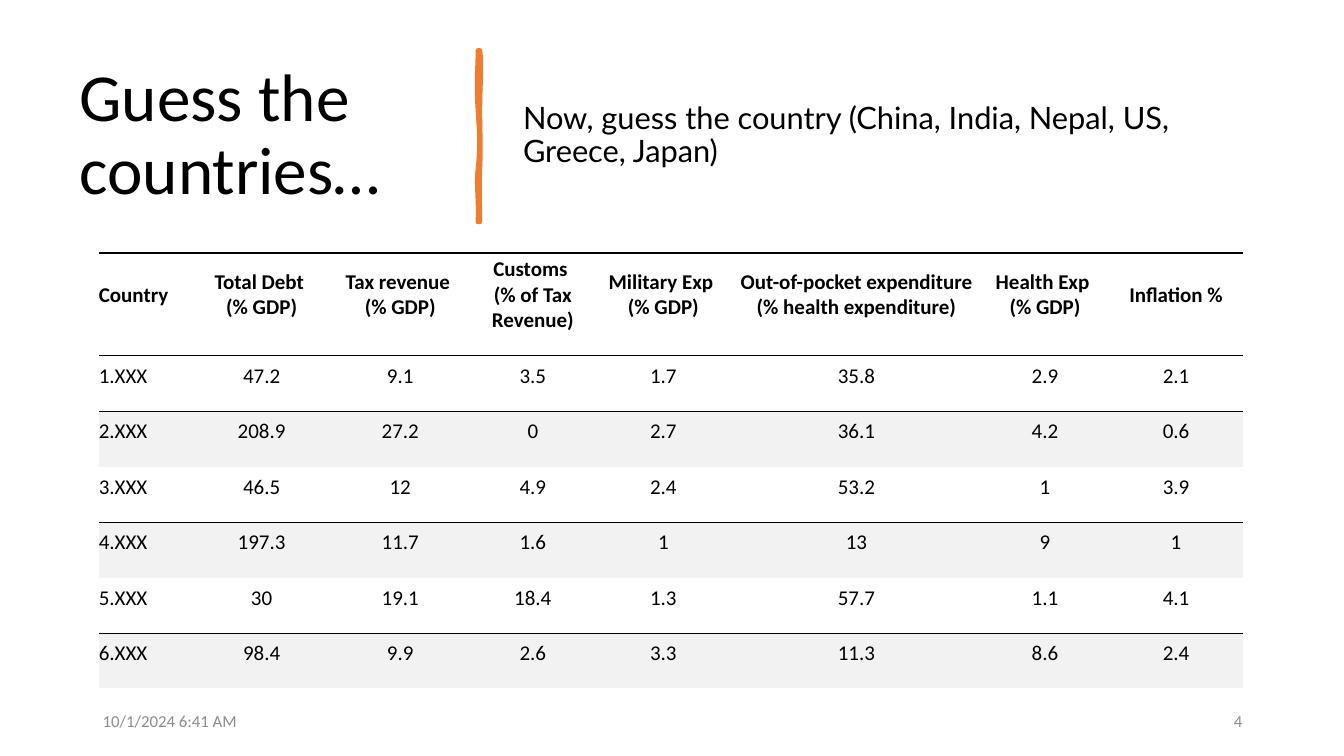
from dataclasses import dataclass

from lxml import etree
from pptx import Presentation
from pptx.dml.color import RGBColor
from pptx.enum.text import MSO_ANCHOR, PP_ALIGN
from pptx.oxml.ns import qn
from pptx.util import Inches, Pt

LEFT, CENTER, RIGHT = PP_ALIGN.LEFT, PP_ALIGN.CENTER, PP_ALIGN.RIGHT
MIDDLE, BOTTOM = MSO_ANCHOR.MIDDLE, MSO_ANCHOR.BOTTOM


@dataclass(frozen=True)
class Theme:
    ink: str = "000000"
    muted: str = "8C8C8C"
    accent: str = "ED7D31"
    band: str = "F2F2F2"
    font: str = "Calibri"
    lead: str = "Lato"
    title: int = 48
    body: int = 22
    cell: int = 15
    foot: int = 12


THEME = Theme()
WIDE, HIGH = Inches(13.33), Inches(7.5)
NO_STYLE = "{2D5ABB26-0587-4C30-8999-92F81FD0307C}"

HEADS = [
    "Country", "Total Debt \n(% GDP)", "Tax revenue \n(% GDP)",
    "Customs \n(% of Tax Revenue)", "Military Exp \n(% GDP)",
    "Out-of-pocket expenditure \n(% health expenditure)",
    "Health Exp \n(% GDP)", "Inflation %",
]
ROWS = [
    ["1.XXX", "47.2", "9.1", "3.5", "1.7", "35.8", "2.9", "2.1"],
    ["2.XXX", "208.9", "27.2", "0", "2.7", "36.1", "4.2", "0.6"],
    ["3.XXX", "46.5", "12", "4.9", "2.4", "53.2", "1", "3.9"],
    ["4.XXX", "197.3", "11.7", "1.6", "1", "13", "9", "1"],
    ["5.XXX", "30", "19.1", "18.4", "1.3", "57.7", "1.1", "4.1"],
    ["6.XXX", "98.4", "9.9", "2.6", "3.3", "11.3", "8.6", "2.4"],
]
COLS = [1.01, 1.28, 1.47, 1.16, 1.43, 2.4, 1.34, 1.26]
TALL = [1.02] + [0.55] * len(ROWS)

STROKE = [
    [(1, 0), (2, 0.07), (1, 0.22), (1, 0.35)],
    [(1, 0.35), (1, 0.48), (1.5, 0.55), (1, 0.69)],
    [(1, 0.69), (0.5, 0.84), (1, 0.88), (1, 1)],
    [(0, 1), (0.5, 0.86), (-1, 0.78), (0, 0.69)],
    [(0, 0.69), (1, 0.59), (1, 0.52), (0, 0.35)],
    [(0, 0.35), (-1, 0.19), (0, 0.1), (0, 0)],
]


def area(left, top, width, height):
    return (int(WIDE * left / 100), int(HIGH * top / 100),
            int(WIDE * width / 100), int(HIGH * height / 100))


def write(frame, text, size, color=THEME.ink, font=THEME.font, bold=False,
          align=LEFT, anchor=MIDDLE, line=None, before=0, after=0):
    frame.word_wrap = True
    frame.vertical_anchor = anchor
    for i, part in enumerate(text.split("\n")):
        para = frame.add_paragraph() if i else frame.paragraphs[0]
        para.alignment = align
        para.line_spacing = line
        para.space_before, para.space_after = Pt(before), Pt(after)
        run = para.add_run()
        run.text = part
        run.font.size, run.font.name, run.font.bold = Pt(size), font, bold
        run.font.color.rgb = RGBColor.from_string(color)


def label(slide, box, text, size, **form):
    write(slide.shapes.add_textbox(*box).text_frame, text, size, **form)


def curve(points, steps=8):
    (ax, ay), (bx, by), (cx, cy), (dx, dy) = points
    for i in range(steps + 1):
        t = i / steps
        u = 1 - t
        a, b, c, d = u ** 3, 3 * u * u * t, 3 * u * t * t, t ** 3
        yield (a * ax + b * bx + c * cx + d * dx,
               a * ay + b * by + c * cy + d * dy)


def divider(slide, box):
    left, top, width, height = box
    dots = [(left + int(x * width), top + int(y * height))
            for part in STROKE for x, y in curve(part)]
    pen = slide.shapes.build_freeform(*dots[0])
    pen.add_line_segments(dots[1:], close=True)
    shape = pen.convert_to_shape()
    shape.shadow.inherit = False
    color = RGBColor.from_string(THEME.accent)
    shape.fill.solid()
    shape.fill.fore_color.rgb = color
    shape.line.color.rgb = color
    shape.line.width = Pt(3.25)
    etree.SubElement(shape.line._ln, qn("a:round"))


def edge(cell, side, width):
    props = cell._tc.get_or_add_tcPr()
    line = etree.SubElement(props, qn("a:ln" + side), w=str(Pt(width)))
    if width:
        fill = etree.SubElement(line, qn("a:solidFill"))
        etree.SubElement(fill, qn("a:srgbClr"), val=THEME.ink)
    else:
        etree.SubElement(line, qn("a:noFill"))


def rules(row):
    if row == 0:
        return 2.25, 1
    top = 1 if row == 1 else 0.5 * (1 - row % 2)
    low = 0.5 if row % 2 else 0
    return top, low


def grid(slide, box):
    left, top, width, height = box
    frame = slide.shapes.add_table(len(TALL), len(COLS), *box)
    table = frame.table
    table.horz_banding = False
    table._tbl.tblPr.find(qn("a:tableStyleId")).text = NO_STYLE
    for col, share in zip(table.columns, COLS):
        col.width = int(width * share / sum(COLS))
    for row, share in zip(table.rows, TALL):
        row.height = int(height * share / sum(TALL))
    for r, texts in enumerate([HEADS] + ROWS):
        upper, lower = rules(r)
        for c, text in enumerate(texts):
            cell = table.cell(r, c)
            cell.margin_left, cell.margin_right = 0, Inches(0.07)
            cell.margin_top, cell.margin_bottom = Inches(0.03), Inches(0.22)
            write(cell.text_frame, text, THEME.cell, bold=r == 0,
                  align=CENTER if c else LEFT)
            cell.vertical_anchor = BOTTOM if r else MIDDLE
            for side, size in zip("LRTB", (0, 0, upper, lower)):
                edge(cell, side, size)
            if r and r % 2 == 0:
                cell.fill.solid()
                cell.fill.fore_color.rgb = RGBColor.from_string(THEME.band)
            else:
                cell.fill.background()


def header(slide):
    label(slide, area(5.18, 7.33, 28.06, 21.33), "Guess the countries…",
          THEME.title, line=0.9)
    divider(slide, area(35.56, 6.67, 0.15, 22.67))
    label(slide, area(38.18, 7.33, 56.56, 21.33),
          "Now, guess the country (China, India, Nepal, US, Greece, Japan)",
          THEME.body, font=THEME.lead, line=0.9, before=10)


def footer(slide):
    for left, text, align in ((6.9, "10/1/2024 6:41 AM", LEFT),
                              (70.67, "4", RIGHT)):
        label(slide, area(left, 92.67, 22.5, 5.33), text, THEME.foot,
              color=THEME.muted, align=align, after=6)


def main():
    deck = Presentation()
    deck.slide_width, deck.slide_height = WIDE, HIGH
    slide = deck.slides.add_slide(deck.slide_layouts[6])
    header(slide)
    footer(slide)
    grid(slide, area(7.35, 33.47, 85.15, 57.6))
    deck.save("out.pptx")


if __name__ == "__main__":
    main()
